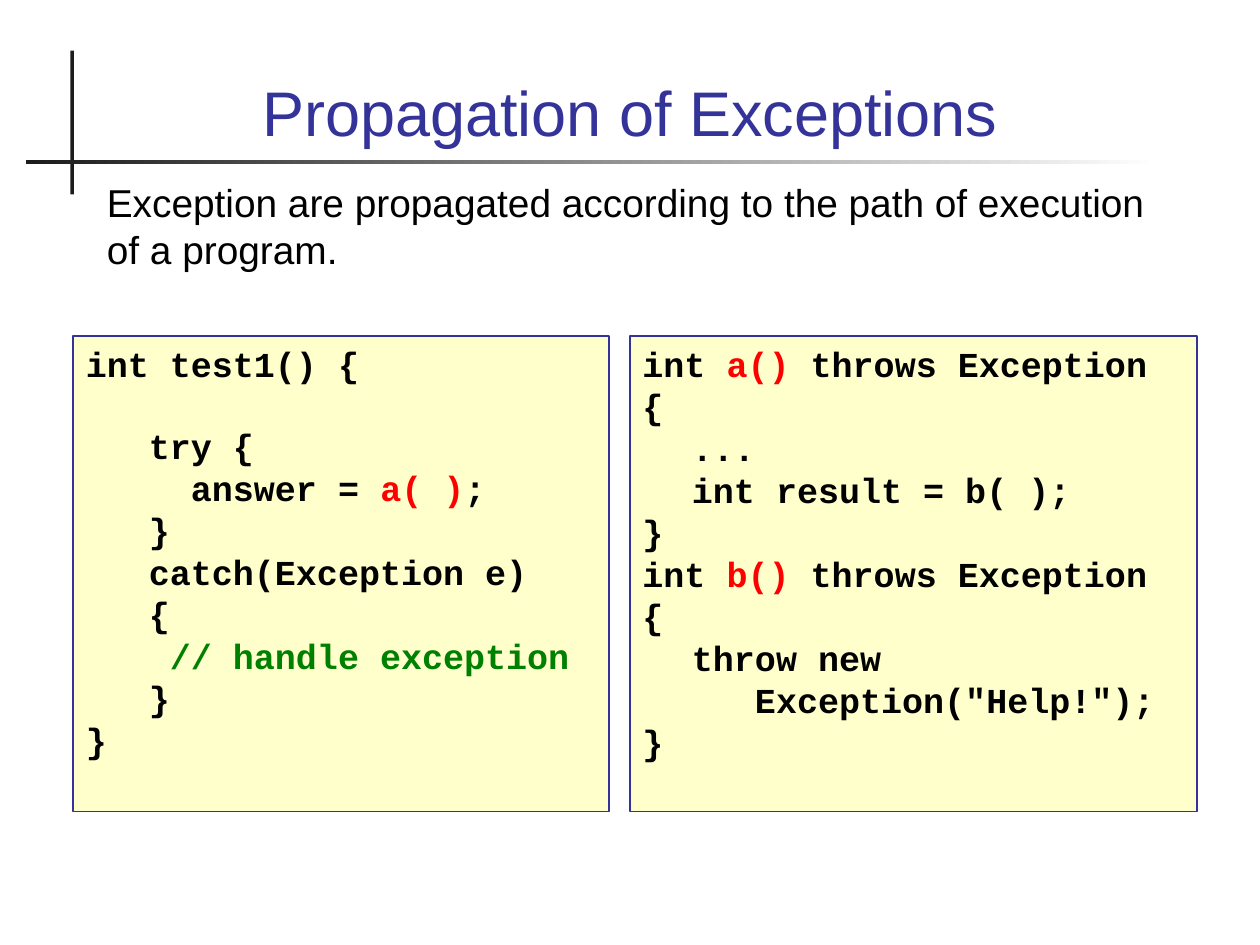
import pptx
import pptx.dml.color
import pptx.enum.shapes
import pptx.enum.text
import pptx.oxml.ns
import pptx.util
from lxml import etree
from pptx.util import Cm, Pt

RGBColor = pptx.dml.color.RGBColor
INDIGO = RGBColor(0x33, 0x33, 0x99)
BLACK = RGBColor(0x00, 0x00, 0x00)
RED = RGBColor(0xFF, 0x00, 0x00)
GREEN = RGBColor(0x00, 0x80, 0x00)
CREAM = RGBColor(0xFF, 0xFF, 0xCC)
CHARCOAL = RGBColor(0x1C, 0x1C, 0x1C)
WHITE = RGBColor(0xFF, 0xFF, 0xFF)

CODE_SIZE = Pt(20)
CODE_LINE = Pt(22.7)  # height of one line of code
TAB = Cm(1)

# Each code line is a list of (text, colour) runs
CALLER = [
    [("int test1() {", BLACK)],
    [("   try {", BLACK)],
    [("     answer = ", BLACK), ("a( )", RED), (";", BLACK)],
    [("   }", BLACK)],
    [("   catch(Exception e)", BLACK)],
    [("   {", BLACK)],
    [("    // handle exception", GREEN)],
    [("   }", BLACK)],
    [("}", BLACK)],
]
THROWERS = [
    [("int ", BLACK), ("a()", RED), (" throws Exception {", BLACK)],
    [("\t...", BLACK)],
    [("\tint result = b( );", BLACK)],
    [("}", BLACK)],
    [("int ", BLACK), ("b()", RED), (" throws Exception", BLACK)],
    [("{", BLACK)],
    [("\tthrow new", BLACK)],
    [("\t   Exception(\"Help!\");", BLACK)],
    [("}", BLACK)],
]


def add_run(paragraph, text, font_name, size, colour, bold=False):
    run = paragraph.add_run()
    run.text = text
    run.font.name = font_name
    run.font.size = size
    run.font.bold = bold
    run.font.color.rgb = colour


def add_rectangle(slide, left, top, width, height):
    rectangle = slide.shapes.add_shape(
        pptx.enum.shapes.MSO_SHAPE.RECTANGLE, left, top, width, height)
    rectangle.shadow.inherit = False
    return rectangle


def add_rules(slide):
    upright = add_rectangle(slide, Cm(1.42), Cm(1.02), Cm(0.07), Cm(2.9))
    upright.fill.solid()
    upright.fill.fore_color.rgb = CHARCOAL
    upright.line.fill.background()

    fading = add_rectangle(slide, Cm(0.53), Cm(3.22), Cm(22.83), Cm(0.08))
    fading.fill.gradient()
    fading.fill.gradient_angle = 0
    for stop, colour in zip(fading.fill.gradient_stops, (CHARCOAL, WHITE)):
        stop.color.rgb = colour
    fading.line.fill.background()


def fill_placeholder(placeholder, box, text, size, colour, align, anchor):
    placeholder.left, placeholder.top, placeholder.width, placeholder.height = box
    frame = placeholder.text_frame
    frame.word_wrap = True
    frame.auto_size = pptx.enum.text.MSO_AUTO_SIZE.NONE
    frame.vertical_anchor = anchor
    paragraph = frame.paragraphs[0]
    paragraph.alignment = align
    paragraph.space_before = Pt(0)
    # No bullet and no hanging indent
    properties = paragraph._p.get_or_add_pPr()
    properties.set("marL", "0")
    properties.set("indent", "0")
    etree.SubElement(properties, pptx.oxml.ns.qn("a:buNone"))
    add_run(paragraph, text, "Arial", size, colour)


def add_code_box(slide, left, width, code, gap_before=None):
    """Add a code listing; gap_before is the line that follows an empty one."""
    box = add_rectangle(slide, left, Cm(6.78), width, Cm(9.58))
    box.fill.solid()
    box.fill.fore_color.rgb = CREAM
    box.line.color.rgb = INDIGO
    box.line.width = Pt(1)

    frame = box.text_frame
    frame.word_wrap = True
    frame.vertical_anchor = pptx.enum.text.MSO_ANCHOR.TOP
    for number, runs in enumerate(code):
        paragraph = frame.add_paragraph() if number else frame.paragraphs[0]
        paragraph.alignment = pptx.enum.text.PP_ALIGN.LEFT
        if number == gap_before:
            paragraph.space_before = CODE_LINE
        tabs = etree.SubElement(
            paragraph._p.get_or_add_pPr(), pptx.oxml.ns.qn("a:tabLst"))
        etree.SubElement(
            tabs, pptx.oxml.ns.qn("a:tab"), pos=str(int(TAB)), algn="l")
        for text, colour in runs:
            add_run(paragraph, text, "Courier New", CODE_SIZE, colour, bold=True)


def main():
    presentation = pptx.Presentation()
    presentation.slide_width = Cm(25.4)
    presentation.slide_height = Cm(19.05)
    slide = presentation.slides.add_slide(presentation.slide_layouts[1])

    # Crossed rules behind the title
    add_rules(slide)

    # Title and statement
    fill_placeholder(
        slide.shapes.title, (Cm(1.7), Cm(1.07), Cm(22), Cm(2.06)),
        "Propagation of Exceptions", Pt(36), INDIGO,
        pptx.enum.text.PP_ALIGN.CENTER, pptx.enum.text.MSO_ANCHOR.BOTTOM)
    fill_placeholder(
        slide.placeholders[1], (Cm(1.9), Cm(3.48), Cm(21.72), Cm(3.28)),
        "Exception are propagated according to the path of execution of a program.",
        Pt(22.2), BLACK,
        pptx.enum.text.PP_ALIGN.LEFT, pptx.enum.text.MSO_ANCHOR.TOP)

    # Code listings
    add_code_box(slide, Cm(12.7), Cm(11.43), THROWERS)
    add_code_box(slide, Cm(1.48), Cm(10.8), CALLER, gap_before=1)

    presentation.save("out.pptx")


if __name__ == "__main__":
    main()
